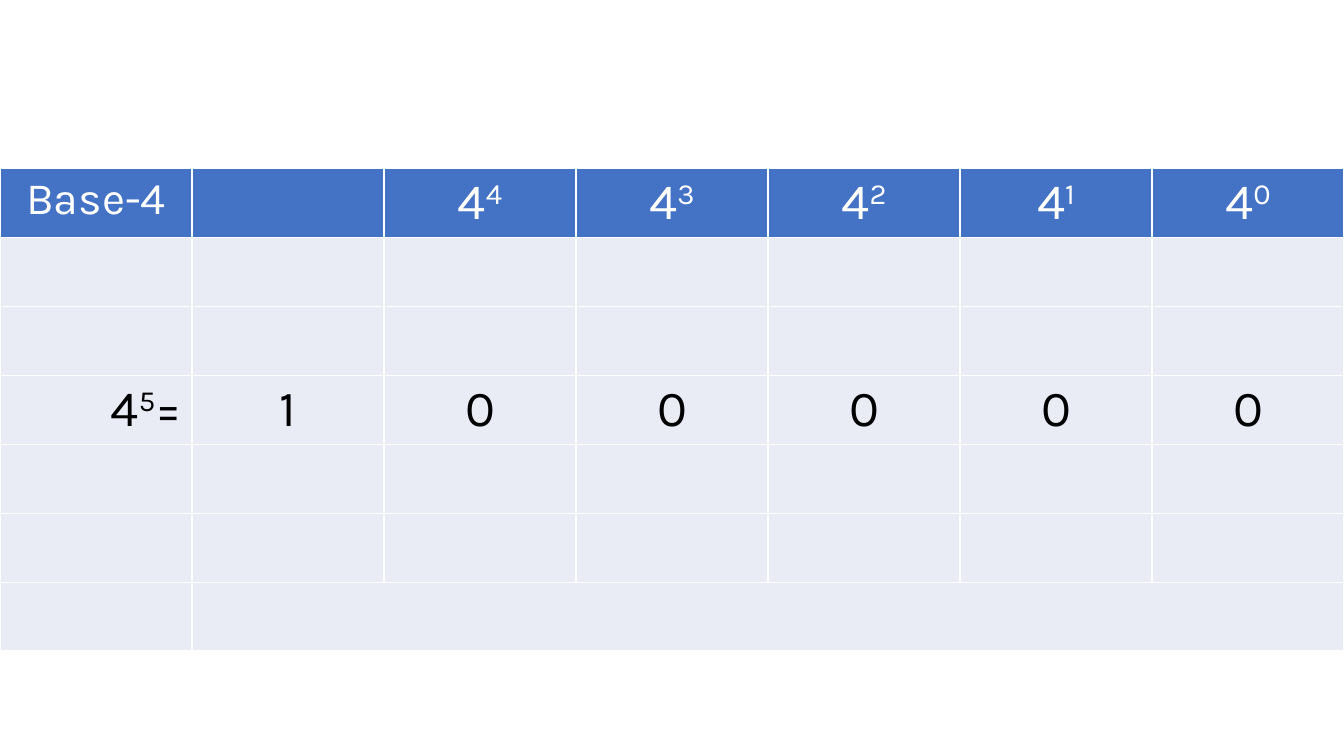
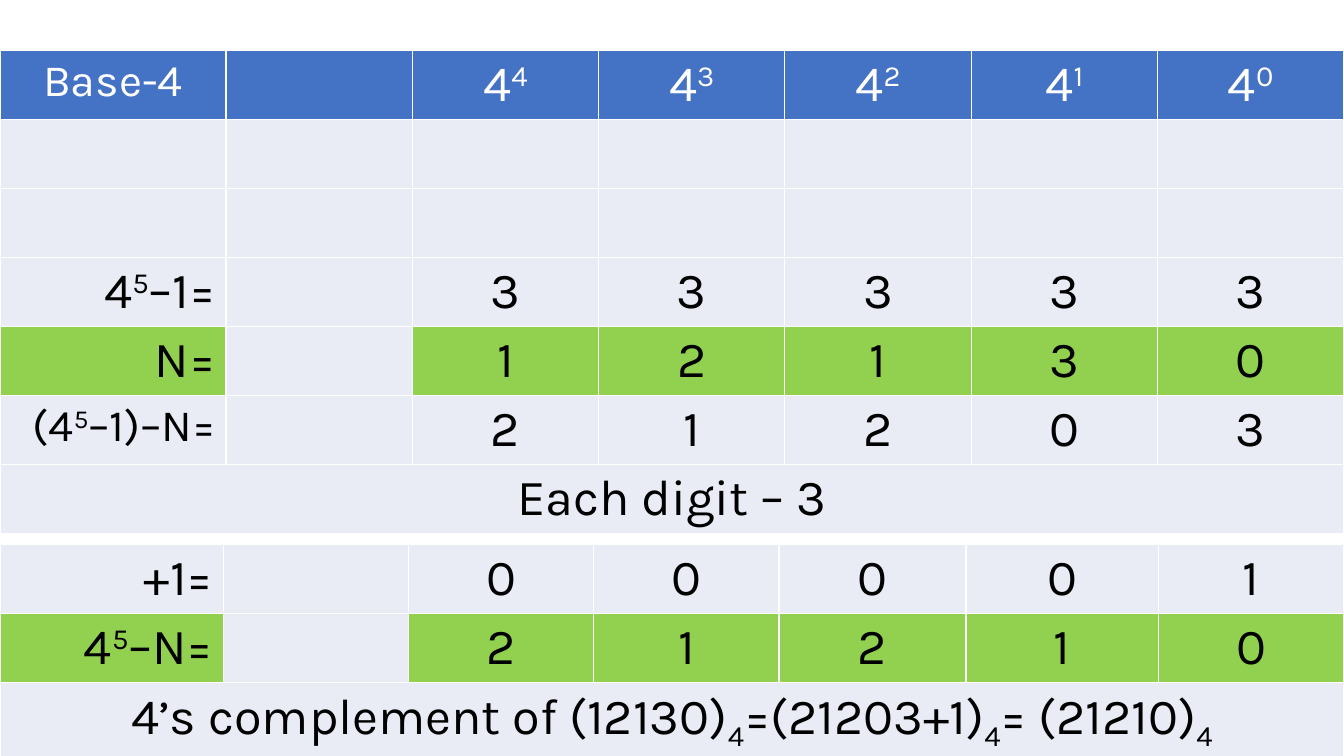
from lxml.etree import SubElement
from pptx import Presentation
from pptx.dml.color import RGBColor
from pptx.enum.text import PP_ALIGN as Align
from pptx.oxml.ns import qn
from pptx.util import Pt

WHITE = RGBColor(0xFF, 0xFF, 0xFF)
BLACK = RGBColor(0x00, 0x00, 0x00)
BLUE = RGBColor(0x44, 0x72, 0xC4)
PALE = RGBColor(0xE9, 0xEB, 0xF5)
GREEN = RGBColor(0x92, 0xD0, 0x50)

PAGE_WIDTH, PAGE_HEIGHT = 960, 540
COLUMNS = 7
ROW_HEIGHT = 49.2
BASELINES = {"^": "30000", "_": "-25000"}
SMALL_LABELS = {"Base-4", "(4|^5|–1)–N="}

HEADER = ["Base-4", "", *(f"4|^{power}" for power in range(4, -1, -1))]
EMPTY = [""] * COLUMNS


class DigitDeck:
    def __init__(self):
        self.deck = Presentation()
        self.deck.slide_width = Pt(PAGE_WIDTH)
        self.deck.slide_height = Pt(PAGE_HEIGHT)
        self.page = None

    def add_page(self):
        self.page = self.deck.slides.add_slide(self.deck.slide_layouts[6])

    def add_table(self, top, widths, rows, marked=()):
        """Draw rows of cell texts; the last text of a short row spans the rest.

        The filled cells of the marked rows are green.
        """
        frame = self.page.shapes.add_table(
            len(rows), COLUMNS, 0, Pt(top), Pt(PAGE_WIDTH), Pt(ROW_HEIGHT * len(rows)))
        table = frame.table
        table.first_row = table.horz_banding = False
        for column, width in zip(table.columns, widths):
            column.width = Pt(width)
        for r, texts in enumerate(rows):
            table.rows[r].height = Pt(ROW_HEIGHT)
            is_header = texts is HEADER
            last = len(texts) - 1
            if last < COLUMNS - 1:
                table.cell(r, last).merge(table.cell(r, COLUMNS - 1))
            for c in range(COLUMNS):
                text = texts[c] if c <= last else ""
                is_label = c == 0 and last > 0 and not is_header
                fill = BLUE if is_header else GREEN if r in marked and text else PALE
                cell = table.cell(r, c)
                self.style_cell(cell, fill)
                if text:
                    self.add_text(cell, text, WHITE if is_header else BLACK,
                                  Align.RIGHT if is_label else Align.CENTER)

    def style_cell(self, cell, fill):
        """Give the cell a fill and thin white borders."""
        properties = cell._tc.get_or_add_tcPr()
        for edge in ("a:lnL", "a:lnR", "a:lnT", "a:lnB"):
            line = SubElement(properties, qn(edge), w=str(Pt(1)))
            solid = SubElement(line, qn("a:solidFill"))
            SubElement(solid, qn("a:srgbClr"), val=str(WHITE))
        cell.fill.solid()
        cell.fill.fore_color.rgb = fill

    def add_text(self, cell, text, color, align):
        """Add text whose parts between bars are raised by ^ or lowered by _."""
        para = cell.text_frame.paragraphs[0]
        para.alignment = align
        style = {"name": "Karla", "size": Pt(32 if text in SMALL_LABELS else 36)}
        for part in text.split("|"):
            span = para.add_run()
            baseline = BASELINES.get(part[0])
            span.text = part[1:] if baseline else part
            for name, value in style.items():
                setattr(span.font, name, value)
            span.font.color.rgb = color
            if baseline:
                span._r.get_or_add_rPr().set("baseline", baseline)

    def save(self):
        self.deck.save("out.pptx")


def add_power_page(deck):
    deck.add_page()
    deck.add_table(120.4, [PAGE_WIDTH / COLUMNS] * COLUMNS, [
        HEADER,
        EMPTY,
        EMPTY,
        ["4|^5|=", *"100000"],
        EMPTY,
        EMPTY,
        ["", ""],
    ])


def add_complement_page(deck):
    deck.add_page()
    deck.add_table(36, [161.4] + [133.1] * 6, [
        HEADER,
        EMPTY,
        EMPTY,
        ["4|^5|–1=", "", *"33333"],
        ["N=", "", *"12130"],
        ["(4|^5|–1)–N=", "", *"21203"],
        ["Each digit – 3"],
    ], marked={4})
    deck.add_table(389, [159.6, 132.3, 132.3, 132.3, 133.5, 137.5, 132.5], [
        ["+1=", "", *"00001"],
        ["4|^5|–N=", "", *"21210"],
        ["4’s complement of (12130)|_4|=(21203+1)|_4|= (21210)|_4"],
    ], marked={1})


def main():
    deck = DigitDeck()
    add_power_page(deck)
    add_complement_page(deck)
    deck.save()


if __name__ == "__main__":
    main()
